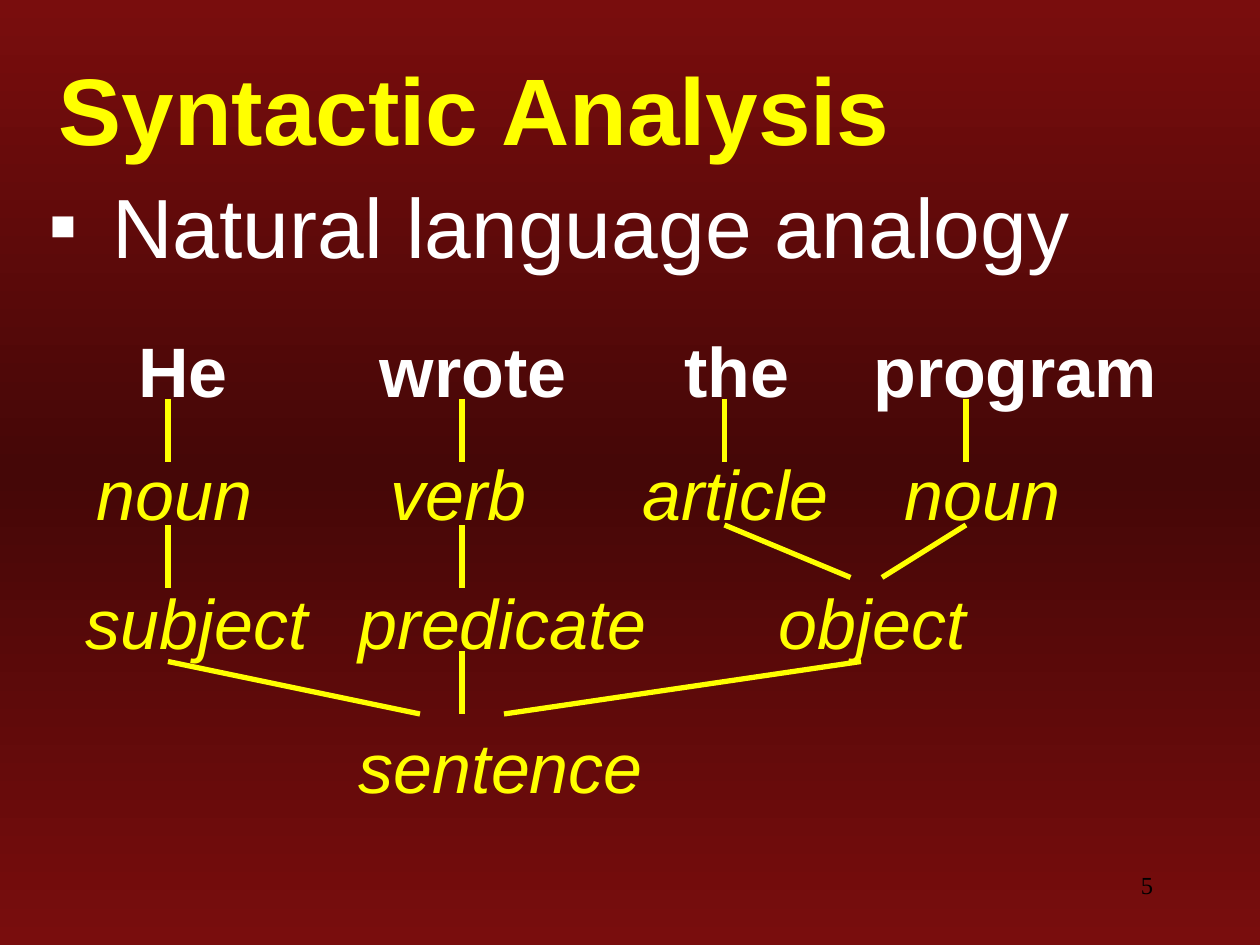
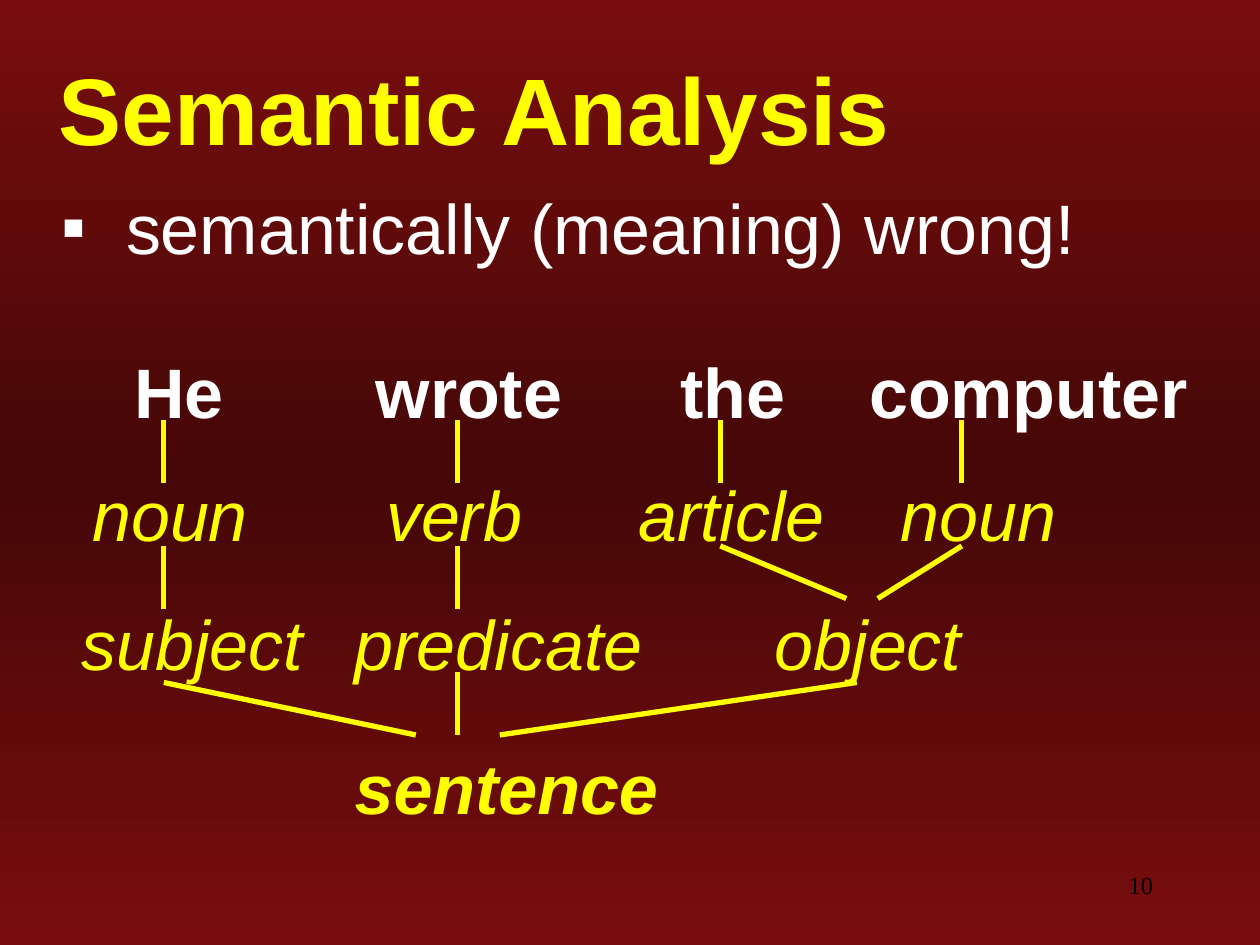
from copy import deepcopy

from lxml import etree
from pptx import Presentation
from pptx import util as u
from pptx.dml.color import RGBColor
from pptx.enum import shapes, text
from pptx.oxml.ns import qn

RED = RGBColor(0x79, 0x0D, 0x0D)
DARK_RED = RGBColor(0x45, 0x07, 0x07)
YELLOW = RGBColor(0xFF, 0xFF, 0x00)
WHITE = RGBColor(0xFF, 0xFF, 0xFF)
BLACK = RGBColor(0x00, 0x00, 0x00)

presentation = Presentation()
presentation.slide_width = u.Inches(10)
presentation.slide_height = u.Inches(7.5)

# The slide is a grid of 120 columns by 90 rows of square cells.
CELL = presentation.slide_width / 120
LABEL_HEIGHT = 9.25

# Row, then (column, width, label) of each box in the row
TREE_ROWS = [
    (41.75, [(8, 19, "noun"), (36, 24, "verb"), (60, 24, "article"), (85, 28, "noun")]),
    (54, [(7, 24, "subject"), (33, 31, "predicate"), (73, 24, "object")]),
]
WORD_ROW, SENTENCE_ROW = 30, 67.75
STEMS = [16, 44, 69, 92]
BRANCHES = [(stem, 38, stem, 44) for stem in STEMS] + [
    (44, 50, 44, 56), (16, 50, 16, 56),
    (69, 50, 81, 55), (92, 50, 84, 55),
    (16, 63, 40, 68), (82, 63, 48, 68), (44, 62, 44, 68),
]

# Title, page number, bullet (column, row, size, text), last word and its width,
# whether "sentence" is bold, shift of the tree in columns and rows
SLIDES = [
    ("Syntactic Analysis", "5", (3.4, 15.4, 48, "Natural language analogy"),
     ("program", 32), False, (0, 0)),
    ("Semantic Analysis", "10", (4.7, 16.4, 40, "semantically (meaning) wrong!"),
     ("computer", 35), True, (-0.4, 2)),
]


def cells(*counts):
    return [round(count * CELL) for count in counts]


def add_text(slide, box, words, size, color, bold=False, italic=False,
             font="Arial", top_inset=0.1):
    """Add a one-line text box at a grid box and return its paragraph and run."""
    frame = slide.shapes.add_textbox(*cells(*box)).text_frame
    frame.word_wrap = True
    frame.vertical_anchor = text.MSO_ANCHOR.TOP
    frame.margin_top = u.Inches(top_inset)
    paragraph = frame.paragraphs[0]
    run = paragraph.add_run()
    run.text = words
    run.font.name = font
    run.font.size = u.Pt(size)
    run.font.bold = bold
    run.font.italic = italic
    run.font.color.rgb = color
    return paragraph, run


for title, number, bullet, last_word, sentence_bold, shift in SLIDES:
    slide = presentation.slides.add_slide(presentation.slide_layouts[6])
    shift_x, shift_y = shift

    # Background: dark band across the middle
    fill = slide.background.fill
    fill.gradient()
    fill.gradient_angle = 270
    stop_list = slide.background._cSld.find(".//" + qn("a:gsLst"))
    stop_list.append(deepcopy(stop_list[0]))
    for stop, position, color in zip(fill.gradient_stops, (0, 0.5, 1), (RED, DARK_RED, RED)):
        stop.position = position
        stop.color.rgb = color

    # Page number
    paragraph, _ = add_text(slide, (86, 82, 25, 6), number, 14, BLACK,
                            font="Times New Roman", top_inset=0.07)
    paragraph.alignment = text.PP_ALIGN.RIGHT

    # Title with a text shadow
    _, run = add_text(slide, (4.4, 4.3, 115.6, 10), title, 54, YELLOW,
                      bold=True, top_inset=0.05)
    effects = etree.Element(qn("a:effectLst"))
    shadow = etree.SubElement(effects, qn("a:outerShdw"), dist="17961", dir="2700000")
    etree.SubElement(shadow, qn("a:srgbClr"), val="C0C0C0")
    run.font._element.find(qn("a:solidFill")).addnext(effects)

    # Bullet line
    column, row, size, words = bullet
    paragraph, _ = add_text(slide, (column, row, 117, 14), words, size, WHITE)
    properties = paragraph._p.get_or_add_pPr()
    properties.set("marL", str(u.Inches(0.51)))
    properties.set("indent", str(-u.Inches(0.51)))
    bullet_color = etree.SubElement(properties, qn("a:buClr"))
    etree.SubElement(bullet_color, qn("a:srgbClr"), val=str(WHITE))
    etree.SubElement(properties, qn("a:buFont"), typeface="Arial")
    etree.SubElement(properties, qn("a:buChar"), char="▪")

    # Words of the sentence, then the parse tree below them
    sentence_words = [(12, 14, "He"), (35, 24, "wrote"), (64, 24, "the"),
                      (82, last_word[1], last_word[0])]
    for column, width, word in sentence_words:
        add_text(slide, (column + shift_x, WORD_ROW + shift_y, width, LABEL_HEIGHT),
                 word, 40, WHITE, bold=True)
    for row, labels in TREE_ROWS + [(SENTENCE_ROW, [(33, 35, "sentence")])]:
        for column, width, label in labels:
            add_text(slide, (column + shift_x, row + shift_y, width, LABEL_HEIGHT),
                     label, 40, YELLOW, italic=True,
                     bold=sentence_bold and row == SENTENCE_ROW)

    for x1, y1, x2, y2 in BRANCHES:
        ends = cells(x1 + shift_x, y1 + shift_y, x2 + shift_x, y2 + shift_y)
        branch = slide.shapes.add_connector(shapes.MSO_CONNECTOR.STRAIGHT, *ends)
        branch.line.color.rgb = YELLOW
        branch.line.width = u.Pt(3)
        etree.SubElement(branch._element.spPr, qn("a:effectLst"))

presentation.save("out.pptx")
